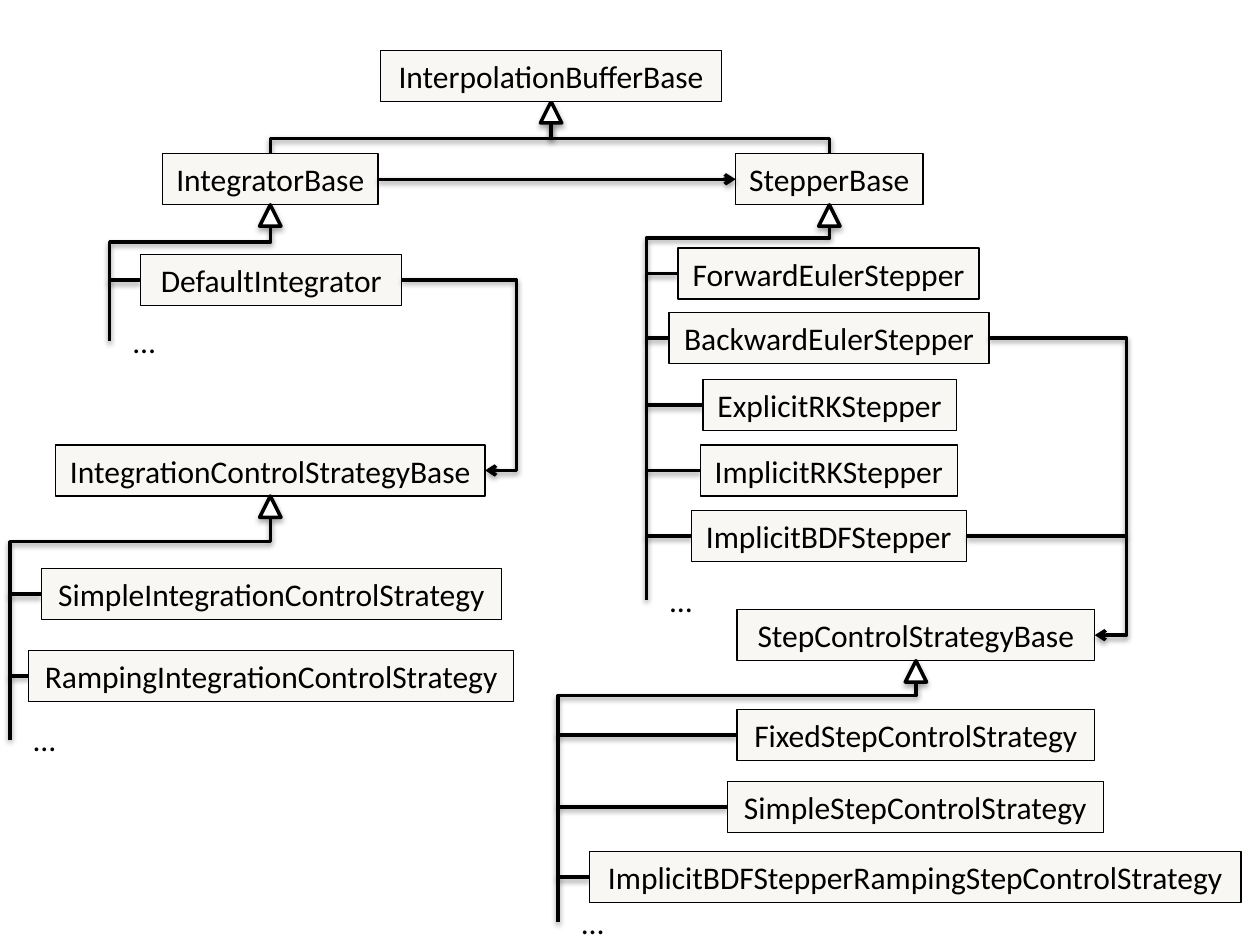
from dataclasses import dataclass

from lxml.etree import SubElement
from pptx import Presentation
from pptx.dml.color import RGBColor
from pptx.enum.shapes import MSO_CONNECTOR as Link, MSO_SHAPE as Preset
from pptx.enum.text import PP_ALIGN as Align
from pptx.oxml.ns import qn
from pptx.util import Cm, Pt


@dataclass(frozen=True)
class Theme:
    font: str = "Calibri"
    size: Pt = Pt(18)
    ink: RGBColor = RGBColor(0, 0, 0)
    panel: RGBColor = RGBColor(0xF8, 0xF7, 0xF3)
    paper: RGBColor = RGBColor(0xFF, 0xFF, 0xFF)
    border: Pt = Pt(0.75)
    stroke: Pt = Pt(2)


THEME = Theme()
BOX_HEIGHT = 1.03
HEAD_SIZE = 0.43


@dataclass(frozen=True)
class ClassBox:
    name: str
    left: float
    top: float
    width: float

    @property
    def right(self):
        return self.left + self.width

    @property
    def center(self):
        return self.left + self.width / 2

    @property
    def middle(self):
        return self.top + BOX_HEIGHT / 2

    @property
    def bottom(self):
        return self.top + BOX_HEIGHT


ROOT = ClassBox("InterpolationBufferBase", 7.67, 1.02, 6.88)
INTEGRATOR = ClassBox("IntegratorBase", 3.28, 3.1, 4.34)
STEPPER = ClassBox("StepperBase", 14.83, 3.1, 3.78)
DEFAULT_INTEGRATOR = ClassBox("DefaultIntegrator", 2.84, 5.13, 5.26)
BACKWARD_EULER = ClassBox("BackwardEulerStepper", 13.49, 6.3, 6.45)
IMPLICIT_BDF = ClassBox("ImplicitBDFStepper", 13.94, 10.29, 5.54)
INTEGRATION_CONTROL = ClassBox("IntegrationControlStrategyBase", 1.12, 8.97, 8.66)
STEP_CONTROL = ClassBox("StepControlStrategyBase", 14.86, 12.29, 7.21)

STEPPERS = [
    ClassBox("ForwardEulerStepper", 13.67, 5.0, 6.07),
    BACKWARD_EULER,
    ClassBox("ExplicitRKStepper", 14.17, 7.65, 5.11),
    ClassBox("ImplicitRKStepper", 14.12, 8.97, 5.18),
    IMPLICIT_BDF,
]
INTEGRATION_CONTROLS = [
    ClassBox("SimpleIntegrationControlStrategy", 0.84, 11.46, 9.27),
    ClassBox("RampingIntegrationControlStrategy", 0.58, 13.11, 9.78),
]
STEP_CONTROLS = [
    ClassBox("FixedStepControlStrategy", 14.86, 14.3, 7.21),
    ClassBox("SimpleStepControlStrategy", 14.66, 15.75, 7.59),
    ClassBox("ImplicitBDFStepperRampingStepControlStrategy", 11.89, 17.17, 13.13),
]


def write(frame, text, align):
    frame.word_wrap = False
    label = frame.paragraphs[0]
    label.text = text
    label.alignment = align
    label.font.name = THEME.font
    label.font.size = THEME.size
    label.font.color.rgb = THEME.ink


def cast_shadow(element, distance, opacity):
    effects = SubElement(element.spPr, qn("a:effectLst"))
    shadow = SubElement(effects, qn("a:outerShdw"), blurRad="40000",
                        dist=str(distance), dir="5400000", rotWithShape="0")
    color = SubElement(shadow, qn("a:srgbClr"), val=str(THEME.ink))
    SubElement(color, qn("a:alpha"), val=str(opacity))


def add_preset(slide, preset, left, top, width, height, fill, weight):
    outline = slide.shapes.add_shape(preset, Cm(left), Cm(top), Cm(width), Cm(height))
    outline.fill.solid()
    outline.fill.fore_color.rgb = fill
    outline.line.color.rgb = THEME.ink
    outline.line.width = weight
    return outline


def add_class(slide, box):
    panel = add_preset(slide, Preset.RECTANGLE, box.left, box.top, box.width,
                       BOX_HEIGHT, THEME.panel, THEME.border)
    panel.shadow.inherit = False
    write(panel.text_frame, box.name, Align.CENTER)


def add_inheritance_head(slide, parent):
    head = add_preset(slide, Preset.ISOSCELES_TRIANGLE, parent.center - HEAD_SIZE / 2,
                      parent.bottom, HEAD_SIZE, HEAD_SIZE, THEME.paper, THEME.stroke)
    cast_shadow(head.element, 23000, 35000)


def add_line(slide, start, end, kind=Link.STRAIGHT, arrow=False):
    line = slide.shapes.add_connector(kind, *(Cm(value) for value in (*start, *end)))
    line.line.color.rgb = THEME.ink
    line.line.width = THEME.stroke
    if arrow:
        SubElement(line.element.spPr.find(qn("a:ln")), qn("a:tailEnd"), type="arrow")
    cast_shadow(line.element, 20000, 38000)
    return line


def bend(line, preset, *ratios):
    geometry = line.element.spPr.find(qn("a:prstGeom"))
    geometry.set("prst", preset)
    adjustments = geometry.find(qn("a:avLst"))
    for number, ratio in enumerate(ratios, 1):
        SubElement(adjustments, qn("a:gd"), name=f"adj{number}",
                   fmla=f"val {round(ratio * 100000)}")


def add_drop(slide, start, end, preset, *ratios):
    (x1, y1), (x2, y2) = start, end
    across, down = abs(x2 - x1), y2 - y1
    left, top = (x1 + x2 - down) / 2, (y1 + y2 - across) / 2
    line = add_line(slide, (left, top), (left + down, top + across), Link.ELBOW)
    frame = line.element.spPr.find(qn("a:xfrm"))
    if x2 < x1:
        frame.set("rot", "5400000")
    else:
        frame.set("rot", "16200000")
        frame.set("flipH", "1")
    bend(line, preset, *ratios)


def add_use(slide, start, end, turn):
    line = add_line(slide, start, end, Link.ELBOW, arrow=True)
    bend(line, "bentConnector3", (turn - start[0]) / (end[0] - start[0]))


def add_family(slide, parent, children, spine, bar, end):
    first, last = children[0], children[-1]
    x, y = parent.center, parent.bottom + HEAD_SIZE
    add_drop(slide, (x, y), (first.left, first.middle), "bentConnector4",
             (bar - y) / (first.middle - y), (x - spine) / (x - first.left))
    for child in children[1:-1]:
        add_line(slide, (spine, child.middle), (child.left, child.middle))
    if last is not first:
        add_drop(slide, (spine, first.middle), (last.left, last.middle), "bentConnector2")
    add_line(slide, (spine, last.middle), (spine, end))
    add_inheritance_head(slide, parent)
    for child in children:
        add_class(slide, child)
    more = slide.shapes.add_textbox(Cm(spine + 0.23), Cm(end - 0.51), Cm(0.97), Cm(BOX_HEIGHT))
    write(more.text_frame, "…", Align.LEFT)


def main():
    deck = Presentation()
    deck.slide_width, deck.slide_height = Cm(25.4), Cm(19.05)
    slide = deck.slides.add_slide(deck.slide_layouts[6])

    for base in (INTEGRATOR, STEPPER):
        add_drop(slide, (ROOT.center, ROOT.bottom + HEAD_SIZE), (base.center, base.top),
                 "bentConnector3", 0.5)
    add_inheritance_head(slide, ROOT)
    for base in (ROOT, INTEGRATOR, STEPPER, INTEGRATION_CONTROL, STEP_CONTROL):
        add_class(slide, base)

    add_family(slide, INTEGRATOR, [DEFAULT_INTEGRATOR], spine=2.21, bar=4.88, end=6.88)
    add_family(slide, STEPPER, STEPPERS, spine=13.03, bar=4.8, end=12.09)
    add_family(slide, INTEGRATION_CONTROL, INTEGRATION_CONTROLS, spine=0.2, bar=10.92, end=14.91)
    add_family(slide, STEP_CONTROL, STEP_CONTROLS, spine=11.25, bar=14.02, end=18.59)

    add_use(slide, (INTEGRATOR.right, INTEGRATOR.middle), (STEPPER.left, STEPPER.middle),
            (INTEGRATOR.right + STEPPER.left) / 2)
    for user, used, turn in ((DEFAULT_INTEGRATOR, INTEGRATION_CONTROL, 10.41),
                             (BACKWARD_EULER, STEP_CONTROL, 22.71)):
        add_use(slide, (user.right, user.middle), (used.right, used.middle), turn)
    add_line(slide, (IMPLICIT_BDF.right, IMPLICIT_BDF.middle), (22.71, IMPLICIT_BDF.middle))

    deck.save("out.pptx")


if __name__ == "__main__":
    main()
